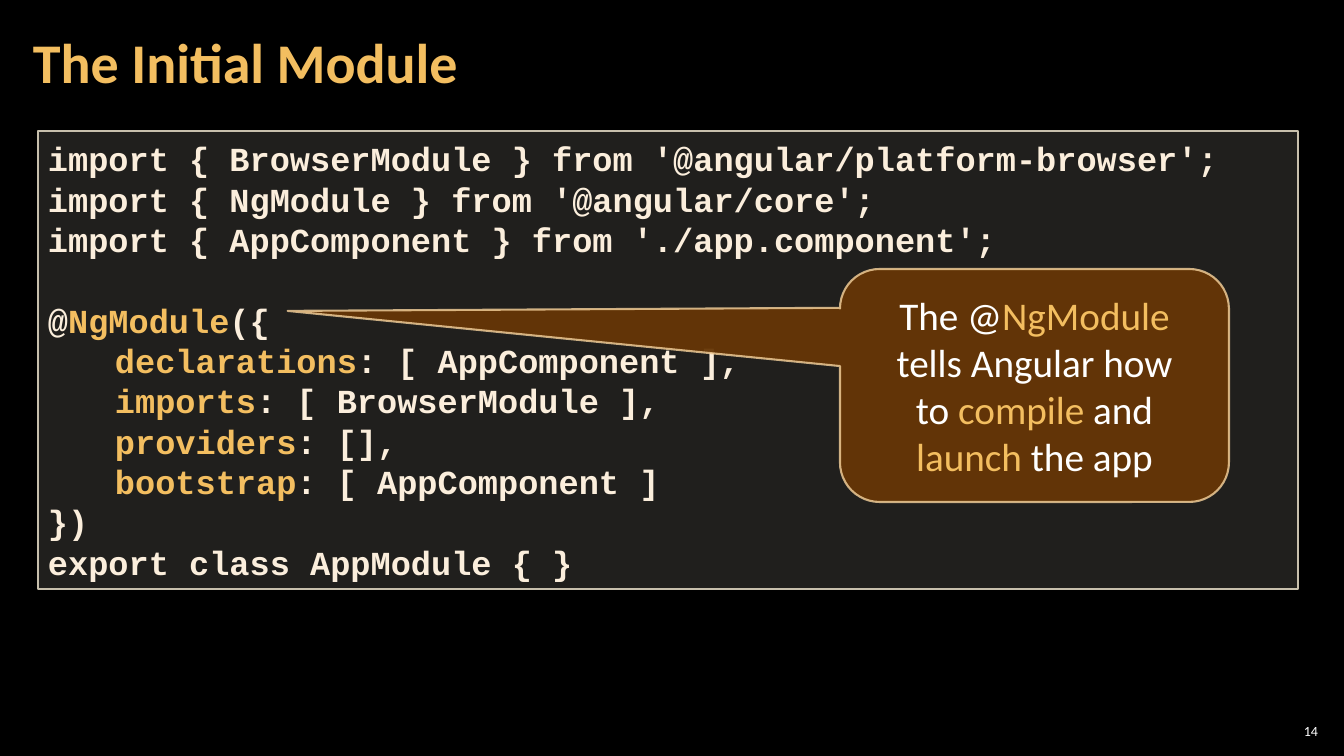
from lxml import etree
from pptx import Presentation
from pptx.dml.color import RGBColor
from pptx.enum.shapes import MSO_SHAPE
from pptx.enum.text import MSO_ANCHOR, PP_ALIGN
from pptx.oxml.ns import qn
from pptx.util import Emu, Pt

# Content: each line is a list of (words, colour) spans
COLORS = {"black": "000000", "gold": "F3BE60", "cream": "FBEEDC", "white": "FFFFFF",
          "panel": "D9D5C7", "panel_edge": "C7BFAC", "brown": "663606", "callout_edge": "F8D49E"}
TITLE = [("The Initial Module", "gold")]
PAGE_NUMBER = [("14", "white")]
IMPORTS = [
    ("BrowserModule", "@angular/platform-browser"),
    ("NgModule", "@angular/core"),
    ("AppComponent", "./app.component"),
]
SETTINGS = [
    ("declarations", ": [ AppComponent ],"),
    ("imports", ": [ BrowserModule ],"),
    ("providers", ": [],"),
    ("bootstrap", ": [ AppComponent ]"),
]
DECORATOR = [("@", "cream"), ("NgModule", "gold"), ("({", "cream")]
ENDING = ["})", "export class AppModule { }"]
CALLOUT = [("The @", "white"), ("NgModule", "gold"), (" tells Angular how to ", "white"),
           ("compile", "gold"), (" and ", "white"), ("launch", "gold"), (" the app", "white")]

# Layout in px: left, top, width, height
SCALE = 914400 / 100.8
PLACES = {"number": (1275, 720, 47, 21), "title": (21, 4, 1055, 122),
          "code": (38, 131, 1260, 458), "callout": (840, 269, 389, 233)}
CODE_INDENT = 67
CODE_LINE = Pt(28.8)
POINTER = (-1.92, -0.32, 0.17)

# Text formats
NUMBER_FONT = {"name": "Calibri", "size": Pt(10)}
TITLE_FONT = {"name": "Calibri", "size": Pt(40), "bold": True}
CODE_FONT = {"name": "Courier New", "size": Pt(24), "bold": True}
CALLOUT_FONT = {"name": "Calibri", "size": Pt(28)}


def px(length):
    return Emu(round(length * SCALE))


def color(name):
    return RGBColor.from_string(COLORS[name])


def set_values(target, values):
    for name, value in values.items():
        setattr(target, name, value)


def set_frame(shape, anchor, side, edge):
    set_values(shape.text_frame, {
        "word_wrap": True, "vertical_anchor": anchor,
        "margin_left": px(side), "margin_right": px(side),
        "margin_top": px(edge), "margin_bottom": px(edge)})


def write(para, spans, font, **layout):
    set_values(para, layout)
    for words, tint in spans:
        span = para.add_run()
        span.text = words
        set_values(span.font, font)
        span.font.color.rgb = color(tint)


def set_opacity(fill_parent, percent):
    tint = fill_parent.find(qn("a:solidFill"))[0]
    etree.SubElement(tint, qn("a:alpha")).set("val", str(percent * 1000))


def add_panel(page, kind, place, fill, opacity, edge, width):
    shape = page.shapes.add_shape(kind, *map(px, PLACES[place]))
    shape.shadow.inherit = False
    shape.fill.solid()
    shape.fill.fore_color.rgb = color(fill)
    set_opacity(shape.fill._xPr, opacity)
    shape.line.color.rgb = color(edge)
    shape.line.width = Pt(width)
    return shape


def add_label(page, place, spans, font, side, **layout):
    box = page.shapes.add_textbox(*map(px, PLACES[place]))
    set_frame(box, MSO_ANCHOR.MIDDLE, side, 4)
    write(box.text_frame.paragraphs[0], spans, font, **layout)


def add_code(page):
    box = add_panel(page, MSO_SHAPE.RECTANGLE, "code", "panel", 15, "panel_edge", 1)
    set_frame(box, MSO_ANCHOR.MIDDLE, 10, 5)
    # (spans, indent, space above)
    lines = [([(f"import {{ {name} }} from '{source}';", "cream")], 0, 0)
             for name, source in IMPORTS]
    lines.append((DECORATOR, 0, CODE_LINE))
    lines += [([(key, "gold"), (value, "cream")], CODE_INDENT, 0) for key, value in SETTINGS]
    lines += [([(words, "cream")], 0, 0) for words in ENDING]
    frame = box.text_frame
    for index, (spans, indent, above) in enumerate(lines):
        para = frame.add_paragraph() if index else frame.paragraphs[0]
        write(para, spans, CODE_FONT, alignment=PP_ALIGN.LEFT,
              line_spacing=CODE_LINE, space_before=above)
        para._p.get_or_add_pPr().set("marL", str(px(indent)))


def add_callout(page):
    box = add_panel(page, MSO_SHAPE.ROUNDED_RECTANGULAR_CALLOUT, "callout",
                    "brown", 95, "callout_edge", 1.5)
    for index, value in enumerate(POINTER):
        box.adjustments[index] = value
    set_opacity(box.line._get_or_add_ln(), 80)
    set_frame(box, MSO_ANCHOR.MIDDLE, 30, 10)
    write(box.text_frame.paragraphs[0], CALLOUT, CALLOUT_FONT, alignment=PP_ALIGN.CENTER)


def main():
    deck = Presentation()
    deck.slide_width, deck.slide_height = px(1344), px(756)
    page = deck.slides.add_slide(deck.slide_layouts[6])
    page.background.fill.solid()
    page.background.fill.fore_color.rgb = color("black")

    add_label(page, "number", PAGE_NUMBER, NUMBER_FONT, 4, alignment=PP_ALIGN.RIGHT)
    add_label(page, "title", TITLE, TITLE_FONT, 12, line_spacing=0.9)
    add_code(page)
    add_callout(page)
    deck.save("out.pptx")


if __name__ == "__main__":
    main()
